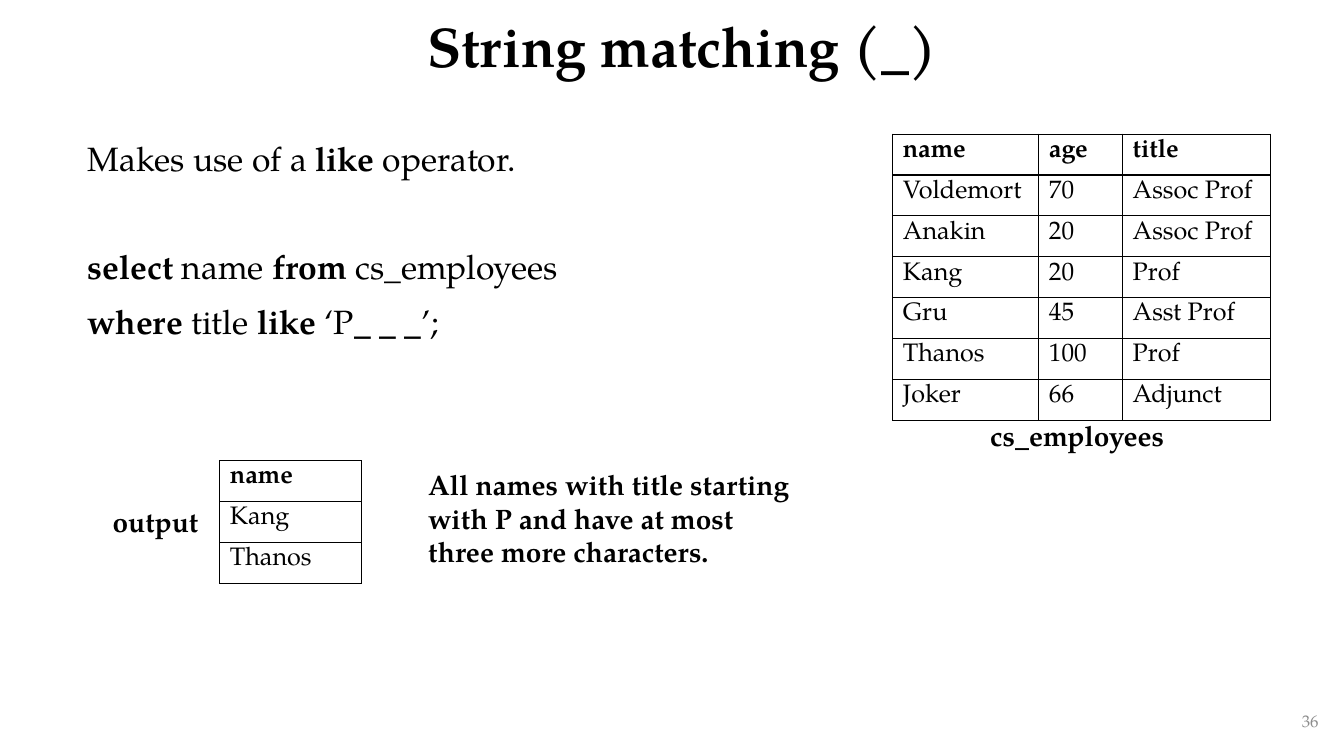
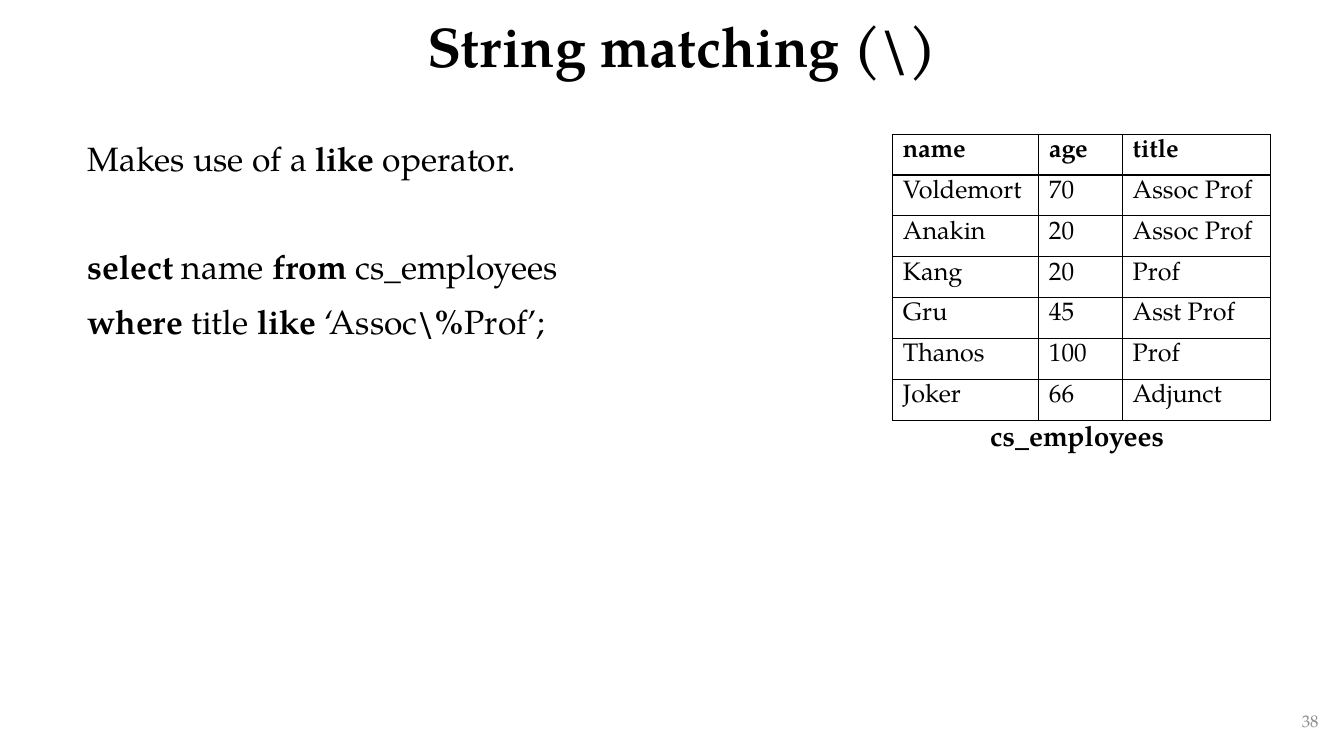
from pptx import Presentation
from pptx.dml.color import RGBColor
from pptx.enum.text import MSO_ANCHOR as Anchor, PP_ALIGN as Align
from pptx.oxml import parse_xml
from pptx.oxml.ns import nsdecls
from pptx.util import Cm, Pt

COLORS = {"text": "000000", "border": "000000", "number": "8C8C8C", "paper": "FFFFFF"}
FONT = "TeX Gyre Pagella"
TITLE = {"size": Pt(40), "bold": True}
BODY = {"size": Pt(24), "bold": False}
LABEL = {"size": Pt(20), "bold": True}
CELL = {"size": Pt(18), "bold": False}
NUMBER = {"size": Pt(12), "bold": False}

ROW_HEIGHT = 1.03
LABEL_HEIGHT = 1.12
EMPLOYEE_COLUMNS = (3.68, 2.11, 3.73)
EMPLOYEES = (
    ("name", "age", "title"),
    ("Voldemort", "70", "Assoc Prof"),
    ("Anakin", "20", "Assoc Prof"),
    ("Kang", "20", "Prof"),
    ("Gru", "45", "Asst Prof"),
    ("Thanos", "100", "Prof"),
    ("Joker", "66", "Adjunct"),
)
SLIDES = (
    {
        "title": "String matching (_)",
        "condition": "*where *title* like *‘P*_ _ _*’;",
        "number": "36",
        "output": ("Kang", "Thanos"),
        "note": "All names with title starting with P and have at most three more characters.",
    },
    {
        "title": r"String matching (\)",
        "condition": r"*where *title* like *‘Assoc*\%*Prof’;",
        "number": "38",
    },
)


def style_font(font, style, color="text"):
    for attribute, value in {"name": FONT, **style}.items():
        setattr(font, attribute, value)
    font.color.rgb = RGBColor.from_string(COLORS[color])


def write_marked(paragraph, marked, style, color="text"):
    for position, part in enumerate(marked.split("*")):
        if part:
            run = paragraph.add_run()
            run.text = part
            bold = style["bold"] or position % 2 == 1
            style_font(run.font, {**style, "bold": bold}, color)


def add_text(slide, box, lines, style, color="text", anchor=Anchor.TOP, **layout):
    frame = slide.shapes.add_textbox(*map(Cm, box)).text_frame
    frame.word_wrap = True
    frame.vertical_anchor = anchor
    for index, line in enumerate(lines):
        paragraph = frame.paragraphs[0] if index == 0 else frame.add_paragraph()
        for attribute, value in layout.items():
            setattr(paragraph, attribute, value)
        write_marked(paragraph, line, style, color)
    return frame


def add_borders(cell):
    properties = cell._tc.get_or_add_tcPr()
    for index, side in enumerate(("lnL", "lnR", "lnT", "lnB")):
        properties.insert(index, parse_xml(
            f'<a:{side} {nsdecls("a")} w="{Pt(1)}"><a:solidFill>'
            f'<a:srgbClr val="{COLORS["border"]}"/></a:solidFill></a:{side}>'
        ))


def add_grid(slide, left, top, widths, rows):
    box = (left, top, sum(widths), ROW_HEIGHT * len(rows))
    grid = slide.shapes.add_table(len(rows), len(widths), *map(Cm, box)).table
    grid.first_row = grid.horz_banding = False
    for column, width in zip(grid.columns, widths):
        column.width = Cm(width)
    for row_index, values in enumerate(rows):
        grid.rows[row_index].height = Cm(ROW_HEIGHT)
        for column_index, value in enumerate(values):
            cell = grid.cell(row_index, column_index)
            cell.fill.background()
            add_borders(cell)
            style = {**CELL, "bold": row_index == 0}
            write_marked(cell.text_frame.paragraphs[0], value, style)


def add_heading(slide, box, title):
    add_text(slide, box, [title], TITLE, anchor=Anchor.MIDDLE,
             alignment=Align.CENTER, line_spacing=0.9)


def add_page_number(slide, box, number):
    add_text(slide, box, [number], NUMBER, "number", Anchor.MIDDLE, alignment=Align.RIGHT)


def add_query(slide, box, condition):
    lines = ["Makes use of a *like* operator.", "*select *name* from *cs_employees", condition]
    frame = add_text(slide, box, lines, BODY, alignment=Align.JUSTIFY, space_before=Pt(10))
    frame.paragraphs[1].space_before = Pt(48.7)


def add_employees(slide, left, top):
    add_grid(slide, left, top, EMPLOYEE_COLUMNS, EMPLOYEES)
    caption_width = 5.11
    caption_left = left + (sum(EMPLOYEE_COLUMNS) - caption_width) / 2
    caption_top = top + ROW_HEIGHT * len(EMPLOYEES) - 0.18
    add_text(slide, (caption_left, caption_top, caption_width, LABEL_HEIGHT),
             ["cs_employees"], LABEL)


def add_output(slide, left, top, names, note):
    rows = [("name",), *((name,) for name in names)]
    label_top = top + (ROW_HEIGHT * len(rows) - LABEL_HEIGHT) / 2
    add_text(slide, (left, label_top, 3.07, LABEL_HEIGHT), ["output"], LABEL)
    add_grid(slide, left + 2.95, top, (3.56,), rows)
    add_text(slide, (left + 7.95, top + 0.05, 9.63, 2.82), [note], LABEL)


def build_slide(deck, content):
    slide = deck.slides.add_slide(deck.slide_layouts[6])
    slide.background.fill.solid()
    slide.background.fill.fore_color.rgb = RGBColor.from_string(COLORS["paper"])
    add_query(slide, (1.96, 3.35, 31.1, 14.17), content["condition"])
    add_page_number(slide, (25.86, 17.65, 7.62, 1.02), content["number"])
    add_heading(slide, (2.59, 0, 29.21, 2.49), content["title"])
    add_employees(slide, 22.5, 3.38)
    if "output" in content:
        add_output(slide, 2.59, 11.61, content["output"], content["note"])


def main():
    deck = Presentation()
    deck.slide_width, deck.slide_height = Cm(33.87), Cm(19.05)
    for content in SLIDES:
        build_slide(deck, content)
    deck.save("out.pptx")


if __name__ == "__main__":
    main()
